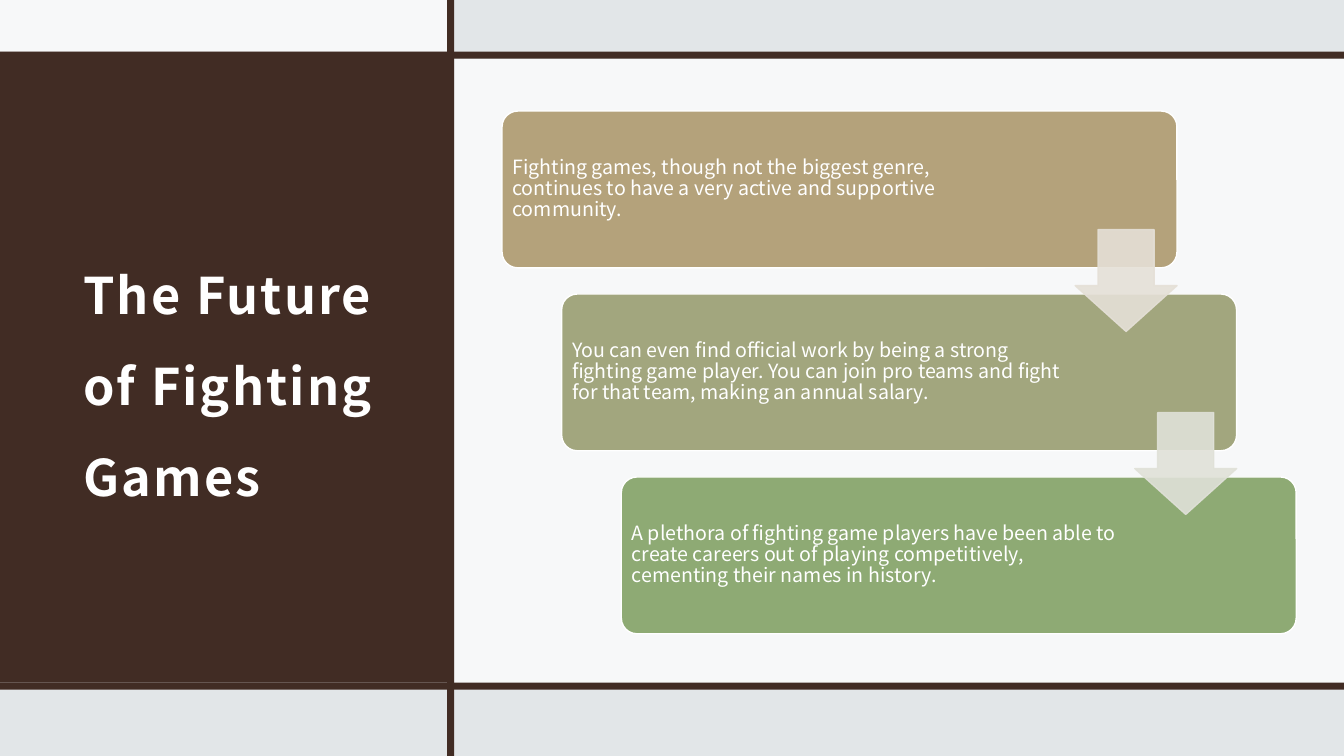
from dataclasses import dataclass

from lxml.etree import SubElement
from pptx import Presentation
from pptx.dml.color import RGBColor
from pptx.enum.shapes import MSO_SHAPE as Shape
from pptx.enum.text import MSO_ANCHOR as Anchor
from pptx.oxml.ns import qn
from pptx.util import Pt


@dataclass(frozen=True)
class Theme:
    font: str = "Noto Sans CJK JP"
    title_size: float = 36
    body_size: float = 14
    white: str = "FFFFFF"
    backdrop: str = "E2E6E8"
    brown: str = "412C24"
    cards: tuple = ("B4A27B", "A2A67E", "8EAA74")
    arrows: tuple = ("E5E0D7", "E0E1D8")


THEME = Theme()
WIDTH, HEIGHT = 960, 540
BAR = 5
STEP_X, STEP_Y = 42.6, 130.7

POINTS = (
    "Fighting games, though not the biggest genre, continues to have a very "
    "active and supportive community.",
    "You can even find official work by being a strong fighting game player. "
    "You can join pro teams and fight for that team, making an annual salary.",
    "A plethora of fighting game players have been able to create careers out "
    "of playing competitively, cementing their names in history.",
)


def paint(fill, color, opacity):
    """Apply a solid colour with an opacity in percent."""
    fill.solid()
    fill.fore_color.rgb = RGBColor.from_string(color)
    if opacity < 100:
        for tone in fill._xPr.iter(qn("a:srgbClr")):
            SubElement(tone, qn("a:alpha"), val=str(opacity * 1000))


def add_block(slide, kind, box, color, opacity=100, outline=None, adjust=()):
    block = slide.shapes.add_shape(kind, *map(Pt, box))
    block.shadow.inherit = False
    for index, value in enumerate(adjust):
        block.adjustments[index] = value
    paint(block.fill, color, opacity)
    if outline:
        block.line.width = Pt(1)
        paint(block.line.fill, outline, opacity)
    else:
        block.line.fill.background()


def add_text(slide, text, box, *, size, insets, line_spacing, bold=False,
             space_after=0, tracking=0):
    frame = slide.shapes.add_textbox(*map(Pt, box)).text_frame
    frame.word_wrap = True
    frame.vertical_anchor = Anchor.MIDDLE
    (frame.margin_left, frame.margin_top,
     frame.margin_right, frame.margin_bottom) = map(Pt, insets)
    paragraph = frame.paragraphs[0]
    paragraph.line_spacing = line_spacing
    paragraph.space_after = Pt(space_after)
    run = paragraph.add_run()
    run.text = text
    font = run.font
    font.name, font.size, font.bold = THEME.font, Pt(size), bold
    font.color.rgb = RGBColor.from_string(THEME.white)
    properties = run._r.get_or_add_rPr()
    SubElement(properties, qn("a:ea"), typeface=THEME.font)
    if tracking:
        properties.set("spc", str(int(tracking * 100)))


def add_frame(slide):
    # Title panel and pale areas
    add_block(slide, Shape.RECTANGLE, (0, 36.9, 319.5, 450.7), THEME.brown)
    for box in ((0, 0, 319.5, 39.5), (324.5, 42, 635.5, 447.5)):
        add_block(slide, Shape.RECTANGLE, box, THEME.white, opacity=75)
    # Crossing bars
    for box in ((0, 487.6, WIDTH, BAR), (319.4, 0, BAR, HEIGHT),
                (0, 37, WIDTH, BAR)):
        add_block(slide, Shape.RECTANGLE, box, THEME.brown)


def add_card(slide, index, text):
    left, top = 358.6 + index * STEP_X, 79.3 + index * STEP_Y
    add_block(slide, Shape.ROUNDED_RECTANGLE, (left, top, 482.1, 112),
              THEME.cards[index], outline=THEME.white, adjust=(0.1,))
    add_text(slide, text, (left + 3.2, top + 3.2, 361, 105.6),
             size=THEME.body_size, insets=(4.2,) * 4, line_spacing=0.9,
             space_after=4.9)


def add_arrow(slide, index, color):
    box = (768 + index * STEP_X, 164 + index * STEP_Y, 72.8, 72.8)
    add_block(slide, Shape.DOWN_ARROW, box, color, opacity=90, outline=color,
              adjust=(0.55, 0.45))


def main():
    deck = Presentation()
    deck.slide_width, deck.slide_height = Pt(WIDTH), Pt(HEIGHT)
    slide = deck.slides.add_slide(deck.slide_layouts[6])
    paint(slide.background.fill, THEME.backdrop, 100)

    add_frame(slide)
    add_text(slide, "The Future of Fighting Games", (51, 94.3, 245.5, 339),
             size=THEME.title_size, insets=(8.6, 8.6, 8.6, 7.2),
             line_spacing=1.5, bold=True, tracking=1.5)

    # Staircase of points, with the arrows on top
    for index, text in enumerate(POINTS):
        add_card(slide, index, text)
    for index, color in enumerate(THEME.arrows):
        add_arrow(slide, index, color)

    deck.save("out.pptx")


if __name__ == "__main__":
    main()
